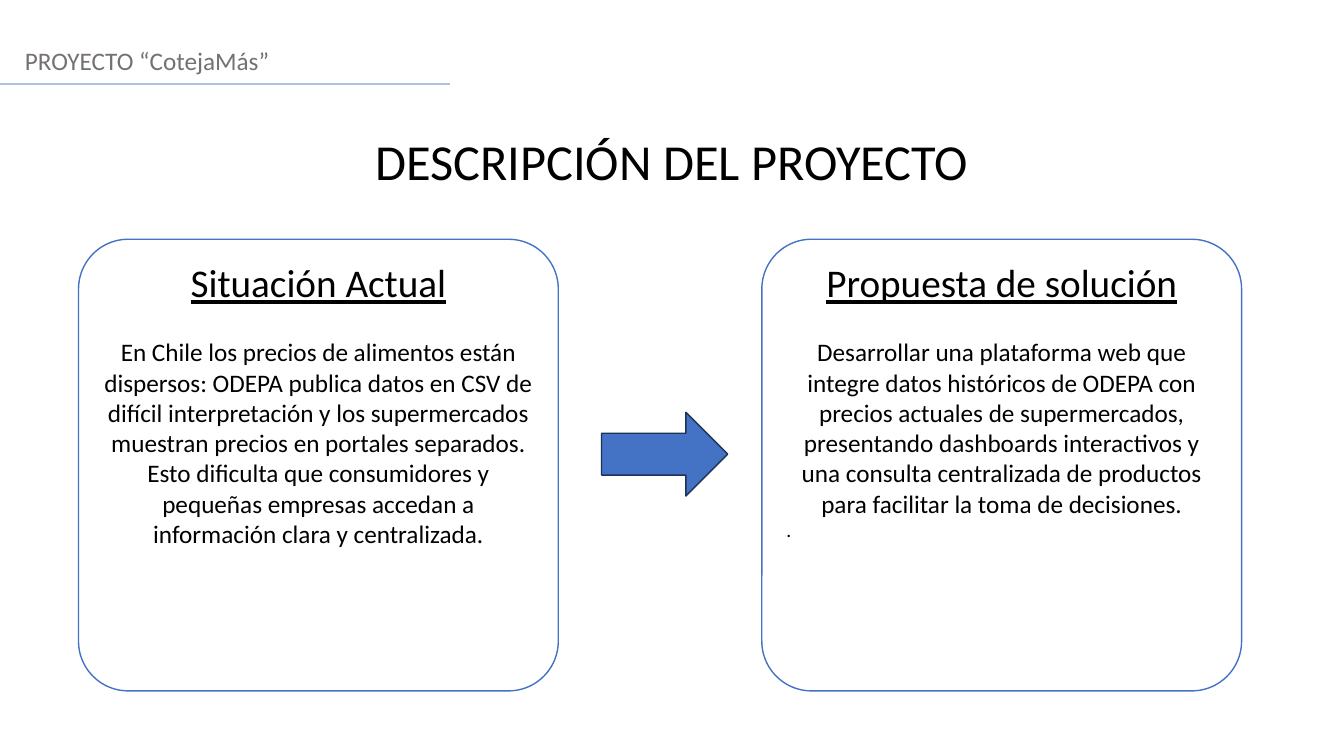
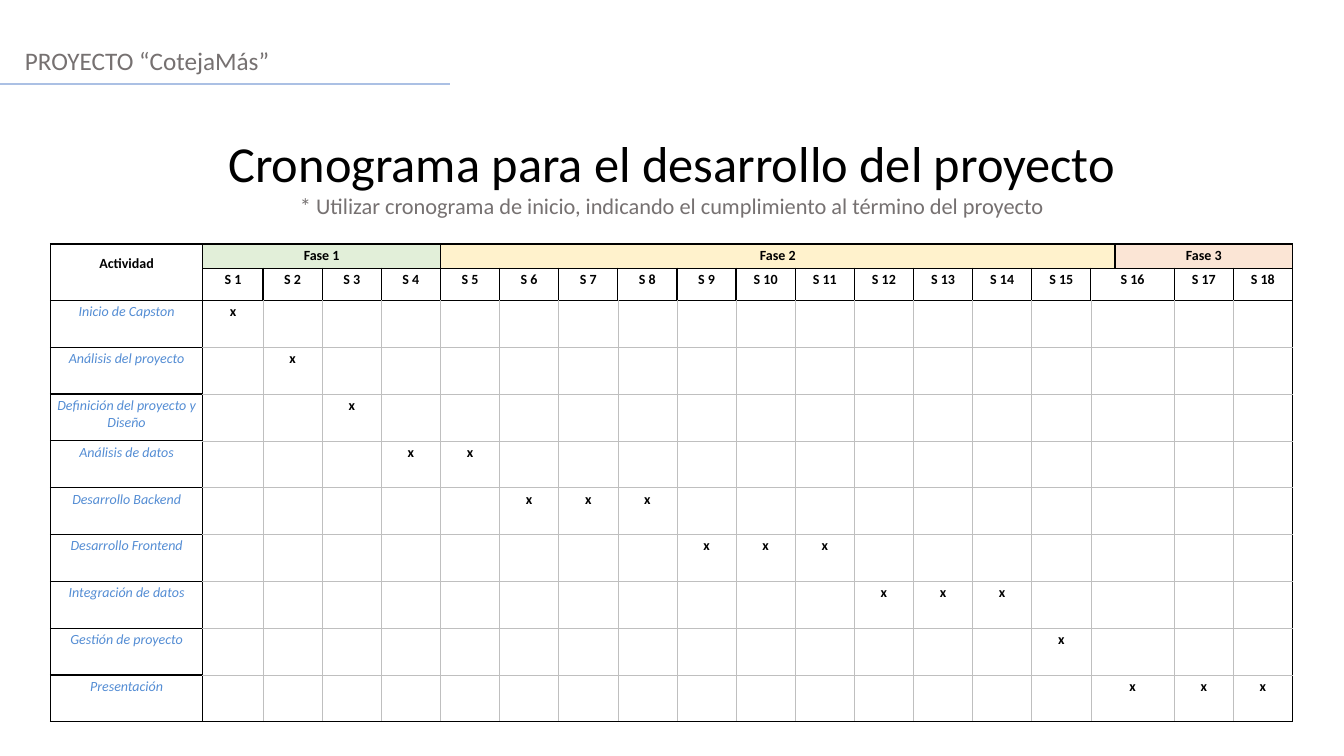
import pptx
import pptx.dml.color
import pptx.enum.shapes
import pptx.enum.text
import pptx.oxml.ns
import pptx.util
from lxml import etree

Cm = pptx.util.Cm
Pt = pptx.util.Pt
ALIGN = pptx.enum.text.PP_ALIGN
SHAPE = pptx.enum.shapes.MSO_SHAPE
qn = pptx.oxml.ns.qn

FONT = "Calibri"
COLORS = {
    "text": "000000", "muted": "767171", "paper": "FFFFFF", "accent": "4472C4",
    "arrow_edge": "1E3256", "rule": "ABC0E4", "grid": "BFBFBF", "activity": "548DD4",
    "phase1": "E2EFD9", "phase2": "FFF2CC", "phase3": "FBE5D5",
}
SLIDE_W, SLIDE_H = 33.87, 19.05

PROJECT = "PROYECTO “CotejaMás”"
CARDS = [
    (1.98, "Situación Actual",
     "En Chile los precios de alimentos están dispersos: ODEPA publica datos en CSV de "
     "difícil interpretación y los supermercados muestran precios en portales separados. "
     "Esto dificulta que consumidores y pequeñas empresas accedan a información clara y "
     "centralizada.", None),
    (19.2, "Propuesta de solución",
     "Desarrollar una plataforma web que integre datos históricos de ODEPA con precios "
     "actuales de supermercados, presentando dashboards interactivos y una consulta "
     "centralizada de productos para facilitar la toma de decisiones.", "."),
]
# Phase: name, first column, last column, fill
PHASES = [("Fase 1", 1, 4, "phase1"), ("Fase 2", 5, 16, "phase2"), ("Fase 3", 17, 19, "phase3")]
# Activity: name, first week, last week
ACTIVITIES = [
    ("Inicio de Capston", 1, 1),
    ("Análisis del proyecto", 2, 2),
    ("Definición del proyecto y Diseño", 3, 3),
    ("Análisis de datos", 4, 5),
    ("Desarrollo Backend", 6, 8),
    ("Desarrollo Frontend", 9, 11),
    ("Integración de datos", 12, 14),
    ("Gestión de proyecto", 15, 15),
    ("Presentación", 16, 18),
]
WEEKS = 18
SPLIT_WEEK = 16  # this week takes two columns, as phase 2 ends inside it
COL_WIDTHS = [3.84, 1.52] + [1.49] * 14 + [0.61] + [1.49] * 3
ROW_HEIGHTS = [0.61, 0.81] + [1.18] * len(ACTIVITIES)


def rgb(name):
    return pptx.dml.color.RGBColor.from_string(COLORS[name])


def write(p, text, size, color="text", align=ALIGN.CENTER, bold=False, italic=False,
          underline=False):
    p.text = text
    p.alignment = align
    font = p.runs[0].font
    font.name, font.size, font.color.rgb = FONT, Pt(size), rgb(color)
    font.bold, font.italic, font.underline = bold, italic, underline


def add_text(slide, x, y, w, h):
    tf = slide.shapes.add_textbox(Cm(x), Cm(y), Cm(w), Cm(h)).text_frame
    tf.word_wrap = True
    tf.auto_size = pptx.enum.text.MSO_AUTO_SIZE.SHAPE_TO_FIT_TEXT
    return tf


def add_box(slide, kind, x, y, w, h, fill, line):
    sp = slide.shapes.add_shape(kind, Cm(x), Cm(y), Cm(w), Cm(h))
    sp.shadow.inherit = False
    sp.fill.solid()
    sp.fill.fore_color.rgb = rgb(fill)
    sp.line.color.rgb = rgb(line)
    sp.line.width = Pt(1)
    return sp


def add_base(prs, title, y, h):
    """Blank slide with the project header, its rule and the title; returns the title frame."""
    slide = prs.slides.add_slide(prs.slide_layouts[6])
    tf = add_text(slide, 0.38, 1.02, SLIDE_W, 1.02)
    write(tf.paragraphs[0], PROJECT, 18, "muted", ALIGN.LEFT)
    tf = add_text(slide, 0, y, SLIDE_W, h)
    write(tf.paragraphs[0], title, 36)
    rule = slide.shapes.add_connector(
        pptx.enum.shapes.MSO_CONNECTOR.STRAIGHT, Cm(0), Cm(2.11), Cm(11.35), Cm(2.11))
    rule.line.color.rgb = rgb("rule")
    rule.line.width = Pt(1.25)
    etree.SubElement(rule.element.spPr, qn("a:effectLst"))
    return slide, tf


def add_card(slide, x, y, w, h, heading, body, closing):
    sp = add_box(slide, SHAPE.ROUNDED_RECTANGLE, x, y, w, h, "paper", "accent")
    sp.adjustments[0] = 0.11
    tf = sp.text_frame
    tf.word_wrap = True
    tf.vertical_anchor = pptx.enum.text.MSO_ANCHOR.TOP
    write(tf.paragraphs[0], heading, 28, underline=True)
    p = tf.add_paragraph()
    write(p, body, 18)
    p.space_before = Pt(22)
    if closing:
        write(tf.add_paragraph(), closing, 14, align=ALIGN.JUSTIFY)


def set_borders(cell, edges):
    """edges: which of L, R, T, B are strong; the others get the light grid line."""
    tcPr = cell._tc.get_or_add_tcPr()
    for side in "LRTB":
        color, width = ("text", 1) if side in edges else ("grid", 0.5)
        ln = etree.SubElement(tcPr, qn("a:ln" + side), w=str(Pt(width)))
        fill = etree.SubElement(ln, qn("a:solidFill"))
        etree.SubElement(fill, qn("a:srgbClr"), val=COLORS[color])


def strong_edges(row, col):
    if row < 2 or col == 0:
        return "LRTB"
    at_edge = {"L": col == 1, "R": col == len(COL_WIDTHS) - 1,
               "T": row == 2, "B": row == len(ROW_HEIGHTS) - 1}
    return [side for side, strong in at_edge.items() if strong]


def week_column(week):
    return week + (week > SPLIT_WEEK)


def add_schedule(slide, x, y):
    frame = slide.shapes.add_table(len(ROW_HEIGHTS), len(COL_WIDTHS), Cm(x), Cm(y),
                                   Cm(sum(COL_WIDTHS)), Cm(sum(ROW_HEIGHTS)))
    table = frame.table
    table.first_row = table.horz_banding = False
    for column, width in zip(table.columns, COL_WIDTHS):
        column.width = Cm(width)
    for row, height in zip(table.rows, ROW_HEIGHTS):
        row.height = Cm(height)

    # Merged cells
    table.cell(0, 0).merge(table.cell(1, 0))
    for _, first, last, _ in PHASES:
        table.cell(0, first).merge(table.cell(0, last))
    for r in range(1, len(ROW_HEIGHTS)):
        table.cell(r, SPLIT_WEEK).merge(table.cell(r, SPLIT_WEEK + 1))

    # Grid
    for r in range(len(ROW_HEIGHTS)):
        for c in range(len(COL_WIDTHS)):
            cell = table.cell(r, c)
            cell.margin_left = cell.margin_right = Cm(0.13)
            cell.margin_top = cell.margin_bottom = Cm(0.08)
            if not cell.is_spanned:
                set_borders(cell, strong_edges(r, c))
            cell.fill.background()

    def put(r, c, text, **style):
        p = table.cell(r, c).text_frame.paragraphs[0]
        write(p, text, 10, **style)
        p.space_after = Pt(8)
        return p

    # Headings
    put(0, 0, "Actividad", bold=True).line_spacing = 1.5
    for name, first, _, color in PHASES:
        put(0, first, name, bold=True)
        fill = table.cell(0, first).fill
        fill.solid()
        fill.fore_color.rgb = rgb(color)
    for week in range(1, WEEKS + 1):
        put(1, week_column(week), f"S {week}", bold=True)

    # Activities and their weeks
    for r, (name, first, last) in enumerate(ACTIVITIES, start=2):
        put(r, 0, name, color="activity", italic=True)
        for week in range(first, last + 1):
            put(r, week_column(week), "x", bold=True)


def build_description(prs):
    slide, _ = add_base(prs, "DESCRIPCIÓN DEL PROYECTO", 3.15, 1.8)
    for x, heading, body, closing in CARDS:
        add_card(slide, x, 6.03, 12.09, 11.38, heading, body, closing)
    add_box(slide, SHAPE.RIGHT_ARROW, 15.16, 10.39, 3.18, 2.11, "accent", "arrow_edge")


def build_schedule(prs):
    slide, tf = add_base(prs, "Cronograma para el desarrollo del proyecto", 3.2, 2.49)
    write(tf.add_paragraph(),
          "* Utilizar cronograma de inicio, indicando el cumplimiento al término del proyecto",
          16, "muted")
    add_schedule(slide, 1.27, 6.15)


def main():
    prs = pptx.Presentation()
    prs.slide_width, prs.slide_height = Cm(SLIDE_W), Cm(SLIDE_H)
    build_description(prs)
    build_schedule(prs)
    prs.save("out.pptx")


if __name__ == "__main__":
    main()
